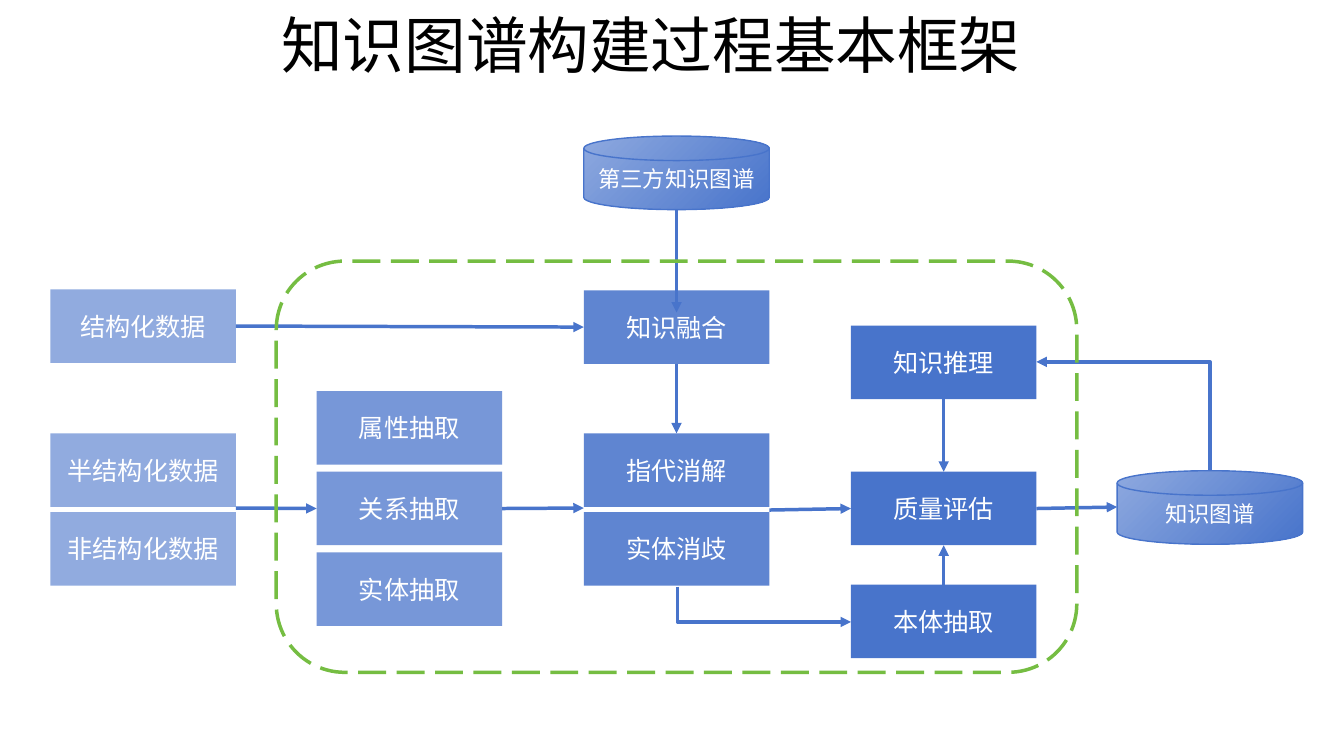
from pptx import Presentation
from pptx.dml.color import RGBColor
from pptx.enum.dml import MSO_LINE
from pptx.enum.shapes import MSO_CONNECTOR as CONN, MSO_SHAPE as SHAPE
from pptx.enum.text import MSO_ANCHOR, MSO_AUTO_SIZE, PP_ALIGN
from pptx.oxml.ns import qn
from pptx.util import Pt
from lxml.etree import SubElement

PX = 9144
TOP, LEFT, BOTTOM, RIGHT = range(4)
BOX_W, BOX_H = 184, 73


def px(*lengths):
    return [n * PX for n in lengths]


def rgb(color):
    return RGBColor.from_string(color)


class Diagram:
    font = "Noto Sans CJK SC"
    blue, pale, green, white, black = "4874CB", "8EA9DF", "75BD42", "FFFFFF", "000000"
    line_pt = 2.5

    def __init__(self, prs):
        self.slide = prs.slides.add_slide(prs.slide_layouts[5])
        self.shapes = self.slide.shapes

    def label(self, sp, text, size, color, font):
        tf = sp.text_frame
        tf.word_wrap = True
        tf.auto_size = MSO_AUTO_SIZE.NONE
        tf.vertical_anchor = MSO_ANCHOR.MIDDLE
        p = tf.paragraphs[0]
        p.alignment = PP_ALIGN.CENTER
        r = p.add_run()
        r.text = text
        r.font.size = Pt(size)
        r.font.name = font
        r.font.color.rgb = rgb(color)
        SubElement(r.font._element, qn("a:ea")).set("typeface", self.font)
        return p

    def title(self, text, x, y, w, h):
        sp = self.shapes.title
        sp.left, sp.top, sp.width, sp.height = px(x, y, w, h)
        p = self.label(sp, text, 44, self.black, "Calibri")
        p.line_spacing = 0.9

    def shape(self, kind, x, y, w, h):
        sp = self.shapes.add_shape(kind, *px(x, y, w, h))
        sp.shadow.inherit = False
        return sp

    def box(self, text, x, y, opacity):
        sp = self.shape(SHAPE.RECTANGLE, x, y, BOX_W, BOX_H)
        sp.fill.solid()
        sp.fill.fore_color.rgb = rgb(self.blue)
        if opacity < 100:
            clr = sp._element.spPr.find(qn("a:solidFill"))[0]
            SubElement(clr, qn("a:alpha")).set("val", str(opacity * 1000))
        sp.line.fill.background()
        self.label(sp, text, 18, self.white, self.font)
        return sp

    def store(self, text, x, y):
        sp = self.shape(SHAPE.FLOWCHART_MAGNETIC_DISK, x, y, BOX_W, BOX_H)
        sp.fill.gradient()
        sp.fill.gradient_angle = 315
        for stop, color, at in zip(sp.fill.gradient_stops, (self.pale, self.blue), (0, 1)):
            stop.color.rgb = rgb(color)
            stop.position = at
        sp.line.color.rgb = rgb(self.blue)
        sp.line.width = Pt(1)
        self.label(sp, text, 16, self.white, self.font)

    def frame(self, x, y, w, h):
        sp = self.shape(SHAPE.ROUNDED_RECTANGLE, x, y, w, h)
        sp.fill.background()
        sp.line.color.rgb = rgb(self.green)
        sp.line.width = Pt(self.line_pt)
        sp.line.dash_style = MSO_LINE.LONG_DASH

    def arrow(self, start, end, kind=CONN.STRAIGHT):
        points = [(0, 0) if hasattr(a, "text_frame") else (a, b) for a, b in (start, end)]
        cx = self.shapes.add_connector(kind, *px(*points[0], *points[1]))
        if hasattr(start[0], "text_frame"):
            cx.begin_connect(*start)
        if hasattr(end[0], "text_frame"):
            cx.end_connect(*end)
        cx.line.color.rgb = rgb(self.blue)
        cx.line.width = Pt(self.line_pt)
        spPr = cx._element.spPr
        SubElement(spPr.find(qn("a:ln")), qn("a:tailEnd")).set("type", "triangle")
        SubElement(spPr, qn("a:effectLst"))
        return cx

    def elbow(self, start, end):
        cx = self.arrow(start, end, CONN.ELBOW)
        geom = cx._element.spPr.find(qn("a:prstGeom"))
        guides = geom.find(qn("a:avLst"))
        if guides is None:
            guides = SubElement(geom, qn("a:avLst"))
        gd = SubElement(guides, qn("a:gd"))
        gd.set("name", "adj1")
        gd.set("fmla", "val 0")


COLUMNS = [
    (50, 60, [("结构化数据", 287), ("半结构化数据", 430), ("非结构化数据", 508)]),
    (314, 74, [("属性抽取", 388), ("关系抽取", 468), ("实体抽取", 548)]),
    (579, 87, [("知识融合", 288), ("指代消解", 430), ("实体消歧", 508)]),
    (844, 100, [("知识推理", 323), ("质量评估", 468), ("本体抽取", 580)]),
]


def main():
    prs = Presentation()
    prs.slide_width, prs.slide_height = px(1333, 750)
    s = Diagram(prs)
    s.title("知识图谱构建过程基本框架", 71, -24, 1150, 145)

    boxes = {}
    for x, opacity, rows in COLUMNS:
        for text, y in rows:
            boxes[text] = s.box(text, x, y, opacity)
    s.store("第三方知识图谱", 579, 135)
    s.store("知识图谱", 1108, 467)

    relation, fusion = boxes["关系抽取"], boxes["知识融合"]
    quality = boxes["质量评估"]
    s.arrow((relation, RIGHT), (579, 504))
    s.arrow((763, 506), (quality, LEFT))
    s.arrow((quality, RIGHT), (1108, 503))
    s.arrow((234, 504), (relation, LEFT))
    s.arrow((boxes["结构化数据"], RIGHT), (fusion, LEFT))
    s.arrow((671, 208), (671, 310))
    s.arrow((fusion, BOTTOM), (boxes["指代消解"], TOP))
    s.arrow((boxes["知识推理"], BOTTOM), (quality, TOP))
    s.arrow((boxes["本体抽取"], TOP), (quality, BOTTOM))
    s.elbow((1200, 467), (1028, 359))
    s.elbow((672, 582), (844, 617))

    s.frame(274, 259, 794, 408)
    prs.save("out.pptx")


if __name__ == "__main__":
    main()
